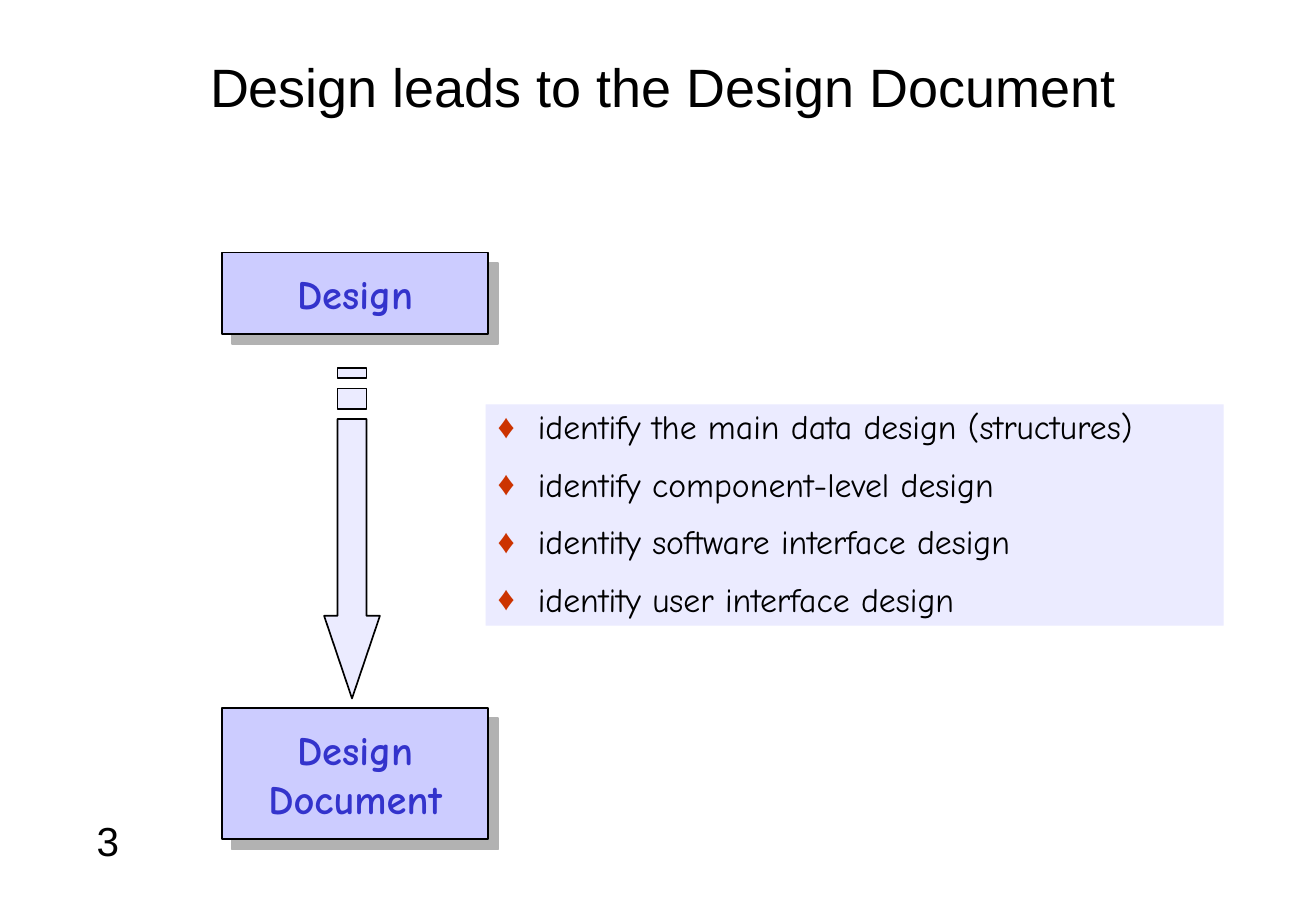
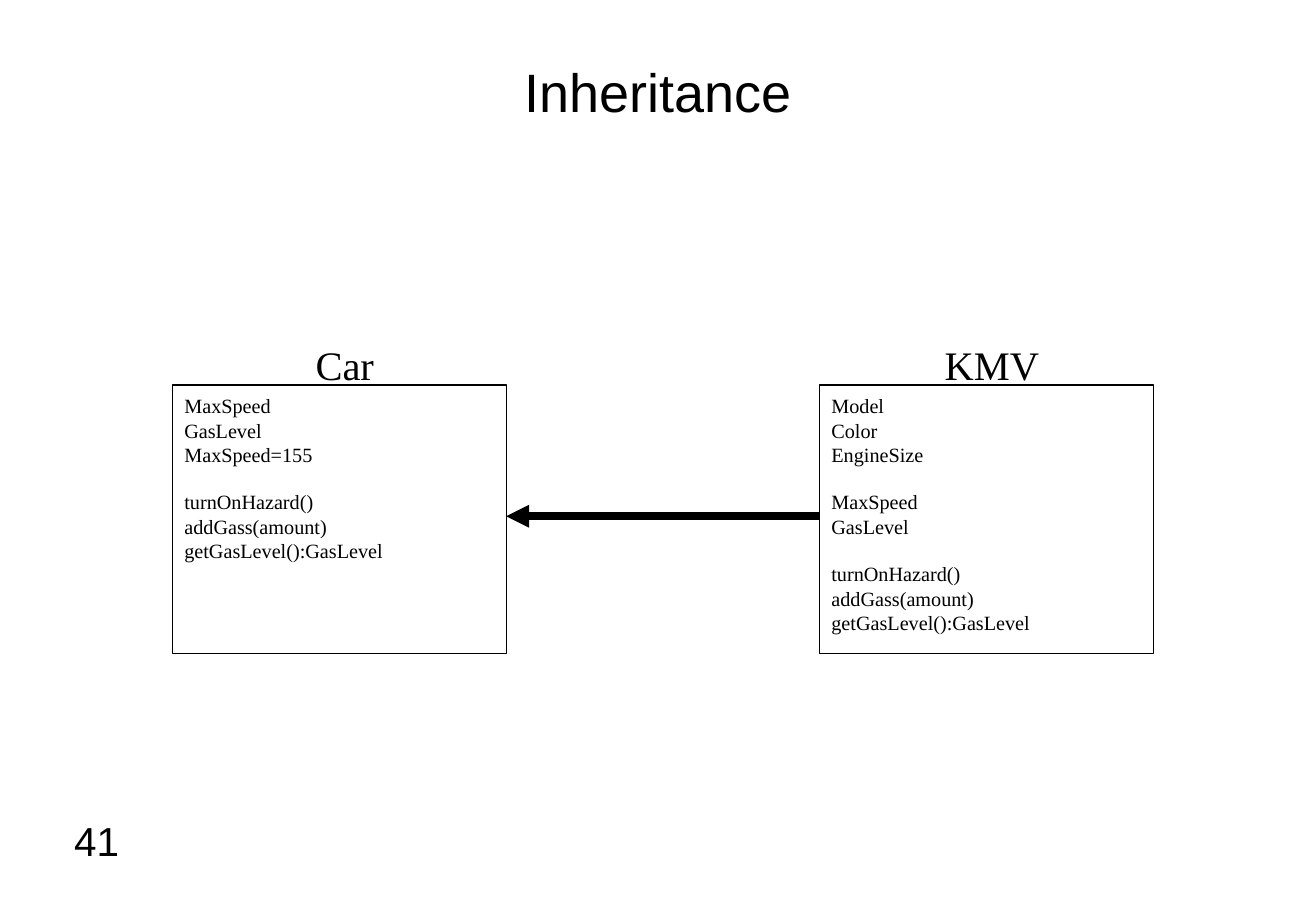
from dataclasses import dataclass

from lxml import etree
from pptx import Presentation
from pptx.dml.color import RGBColor
from pptx.enum.shapes import MSO_CONNECTOR, MSO_SHAPE
from pptx.enum.text import MSO_ANCHOR, MSO_AUTO_SIZE, PP_ALIGN
from pptx.oxml.ns import qn
from pptx.util import Inches, Pt

RECT = MSO_SHAPE.RECTANGLE
STRAIGHT = MSO_CONNECTOR.STRAIGHT
LEFT, CENTER, RIGHT = PP_ALIGN.LEFT, PP_ALIGN.CENTER, PP_ALIGN.RIGHT
TOP, MIDDLE = MSO_ANCHOR.TOP, MSO_ANCHOR.MIDDLE
NO_FIT = MSO_AUTO_SIZE.NONE
TITLE_AND_BODY, TITLE_ONLY = 1, 5


# Theme
@dataclass(frozen=True)
class Style:
    font: str
    size: float
    color: str = "000000"
    bold: bool = False


@dataclass(frozen=True)
class Theme:
    ink: str = "000000"
    paper: str = "FFFFFF"
    box: str = "CCCCFF"
    pale: str = "EBEBFF"
    shadow: str = "B2B2B2"
    bullet: str = "CC3300"
    title: Style = Style("Arial", 32)
    number: Style = Style("Arial", 24)
    stage: Style = Style("Comic Neue", 24, "3333CC", True)
    item: Style = Style("Comic Neue", 20)
    class_name: Style = Style("Times New Roman", 24)
    member: Style = Style("Times New Roman", 12)


THEME = Theme()


# Content types
@dataclass(frozen=True)
class Box:
    x: float
    y: float
    w: float
    h: float

    def emu(self) -> tuple:
        return Inches(self.x), Inches(self.y), Inches(self.w), Inches(self.h)


@dataclass(frozen=True)
class Stage:
    text: str
    box: Box


@dataclass(frozen=True)
class ClassCard:
    name: str
    x: float
    sections: tuple


STAGES = (
    Stage("Design", Box(1.83, 2.08, 2.19, 0.67)),
    Stage("Design Document", Box(1.83, 5.83, 2.19, 1.08)),
)
STEPS = (
    "identify the main data design (structures)",
    "identify component-level design",
    "identity software interface design",
    "identity user interface design",
)
METHODS = ("turnOnHazard()", "addGass(amount)", "getGasLevel():GasLevel")
CAR = ClassCard("Car", 1.42, (("MaxSpeed", "GasLevel", "MaxSpeed=155"), METHODS))
MODEL = ClassCard("KMV", 6.75, (("Model", "Color", "EngineSize"),
                                ("MaxSpeed", "GasLevel"), METHODS))
CARD_W, CARD_Y, CARD_H = 2.75, 3.17, 2.21
SECTION_GAP = 13.8


# Helpers
def rgb(color: str) -> RGBColor:
    return RGBColor.from_string(color)


def add_run(p, text: str, style: Style) -> None:
    r = p.add_run()
    r.text = text
    r.font.name = style.font
    r.font.size = Pt(style.size)
    r.font.bold = style.bold
    r.font.color.rgb = rgb(style.color)


def setup_frame(sp, anchor=TOP, top: float = 0.05):
    tf = sp.text_frame
    tf.word_wrap = True
    tf.auto_size = NO_FIT
    tf.vertical_anchor = anchor
    tf.margin_left = tf.margin_right = Inches(0.1)
    tf.margin_top, tf.margin_bottom = Inches(top), Inches(0.05)
    return tf


def write_line(sp, text: str, style: Style, align, anchor=TOP) -> None:
    p = setup_frame(sp, anchor).paragraphs[0]
    p.alignment = align
    add_run(p, text, style)


def next_paragraph(tf, first: bool):
    return tf.paragraphs[0] if first else tf.add_paragraph()


def place(sp, box: Box) -> None:
    sp.left, sp.top, sp.width, sp.height = box.emu()


def paint(sp, fill: str, line_width: float) -> None:
    sp.shadow.inherit = False
    sp.fill.solid()
    sp.fill.fore_color.rgb = rgb(fill)
    sp.line.color.rgb = rgb(THEME.ink)
    sp.line.width = Pt(line_width)


def add_hard_shadow(sp) -> None:
    effects = sp._element.spPr.find(qn("a:effectLst"))
    shadow = etree.SubElement(effects, qn("a:outerShdw"), dist=str(Pt(8.5)),
                              dir="2700000", algn="ctr", rotWithShape="0")
    etree.SubElement(shadow, qn("a:srgbClr"), val=THEME.shadow)


def set_bullet(p, char: str, color: str, indent: float) -> None:
    pPr = p._p.get_or_add_pPr()
    pPr.set("marL", str(Inches(indent)))
    pPr.set("indent", str(-Inches(indent)))
    bu_clr = etree.SubElement(pPr, qn("a:buClr"))
    etree.SubElement(bu_clr, qn("a:srgbClr"), val=color)
    etree.SubElement(pPr, qn("a:buChar"), char=char)


def new_slide(prs, layout: int, title: str, title_box: Box, number: int):
    slide = prs.slides.add_slide(prs.slide_layouts[layout])
    place(slide.shapes.title, title_box)
    write_line(slide.shapes.title, title, THEME.title, CENTER, MIDDLE)
    sp = slide.shapes.add_textbox(*Box(0.25, 6.67, 0.83, 0.5).emu())
    write_line(sp, str(number), THEME.number, RIGHT)
    return slide


# Parts of the slides
def add_stage(slide, stage: Stage) -> None:
    sp = slide.shapes.add_shape(RECT, *stage.box.emu())
    paint(sp, THEME.box, 1)
    add_hard_shadow(sp)
    write_line(sp, stage.text, THEME.stage, CENTER, MIDDLE)


def add_striped_arrow(slide) -> None:
    mid, shaft, head = 2.9, 0.12, 0.23
    l, r = mid - shaft, mid + shaft
    neck, tip = 5.07, 5.75
    arrow = ((r, 3.45), (r, neck), (mid + head, neck), (mid, tip),
             (mid - head, neck), (l, neck), (l, 3.45))
    stripes = [((r, top), (r, bottom), (l, bottom), (l, top))
               for top, bottom in ((3.03, 3.11), (3.2, 3.37))]
    builder = None
    for outline in (arrow, *stripes):
        points = [(Inches(x), Inches(y)) for x, y in outline]
        if builder is None:
            builder = slide.shapes.build_freeform(*points[0])
        else:
            builder.move_to(*points[0])
        builder.add_line_segments(points[1:], close=True)
    paint(builder.convert_to_shape(), THEME.pale, 1)


def fill_steps(sp) -> None:
    place(sp, Box(4, 3.33, 6.08, 1.82))
    sp.fill.solid()
    sp.fill.fore_color.rgb = rgb(THEME.pale)
    tf = setup_frame(sp)
    for i, step in enumerate(STEPS):
        p = next_paragraph(tf, i == 0)
        p.line_spacing = 0.9
        p.space_before = Pt(12.5 if i else 0)
        set_bullet(p, "♦", THEME.bullet, 0.33)
        add_run(p, step, THEME.item)


def add_class_card(slide, card: ClassCard) -> None:
    name = slide.shapes.add_textbox(*Box(card.x + 0.67, 2.75, 1.5, 0.5).emu())
    write_line(name, card.name, THEME.class_name, CENTER)
    sp = slide.shapes.add_shape(RECT, *Box(card.x, CARD_Y, CARD_W, CARD_H).emu())
    paint(sp, THEME.paper, 0.75)
    tf = setup_frame(sp, top=0.07)
    for i, section in enumerate(card.sections):
        for j, member in enumerate(section):
            p = next_paragraph(tf, i == j == 0)
            p.alignment = LEFT
            p.space_before = Pt(SECTION_GAP if i and not j else 0)
            add_run(p, member, THEME.member)


def add_inheritance_arrow(slide, child: ClassCard, parent: ClassCard) -> None:
    y = Inches(4.25)
    line = slide.shapes.add_connector(STRAIGHT, Inches(child.x), y,
                                      Inches(parent.x + CARD_W), y)
    line.line.color.rgb = rgb(THEME.ink)
    line.line.width = Pt(4.5)
    etree.SubElement(line.line._get_or_add_ln(), qn("a:tailEnd"), type="triangle")
    etree.SubElement(line._element.spPr, qn("a:effectLst"))


# Slides
def build_design(prs) -> None:
    slide = new_slide(prs, TITLE_AND_BODY, "Design leads to the Design Document",
                      Box(0.83, 0.33, 9.27, 0.75), 3)
    for stage in STAGES:
        add_stage(slide, stage)
    add_striped_arrow(slide)
    fill_steps(slide.placeholders[1])


def build_inheritance(prs) -> None:
    slide = new_slide(prs, TITLE_ONLY, "Inheritance", Box(1.17, 0.25, 8.5, 1), 41)
    for card in (CAR, MODEL):
        add_class_card(slide, card)
    add_inheritance_arrow(slide, MODEL, CAR)


def main() -> None:
    prs = Presentation()
    prs.slide_width, prs.slide_height = Inches(10.84), Inches(7.5)
    build_design(prs)
    build_inheritance(prs)
    prs.save("out.pptx")


if __name__ == "__main__":
    main()
